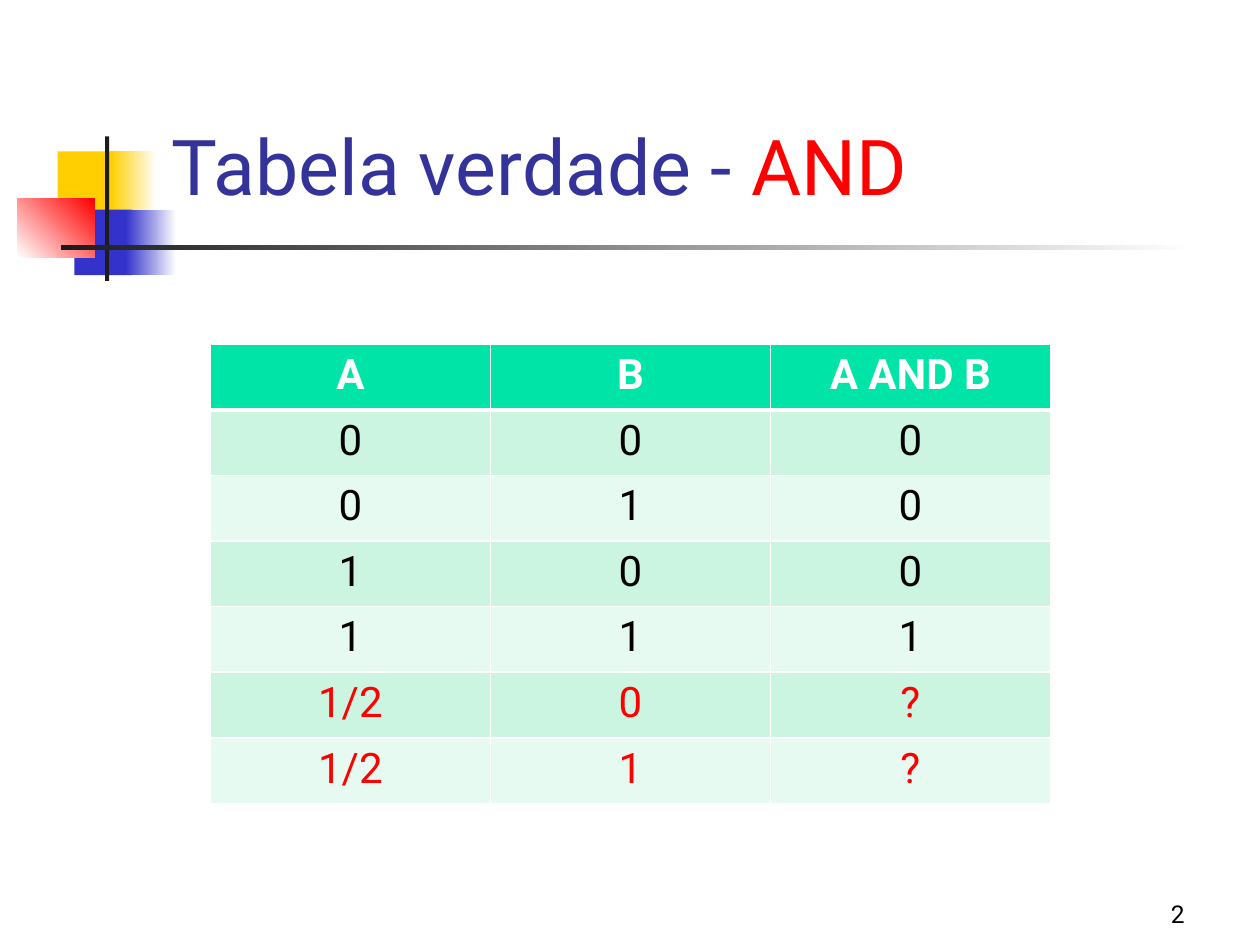
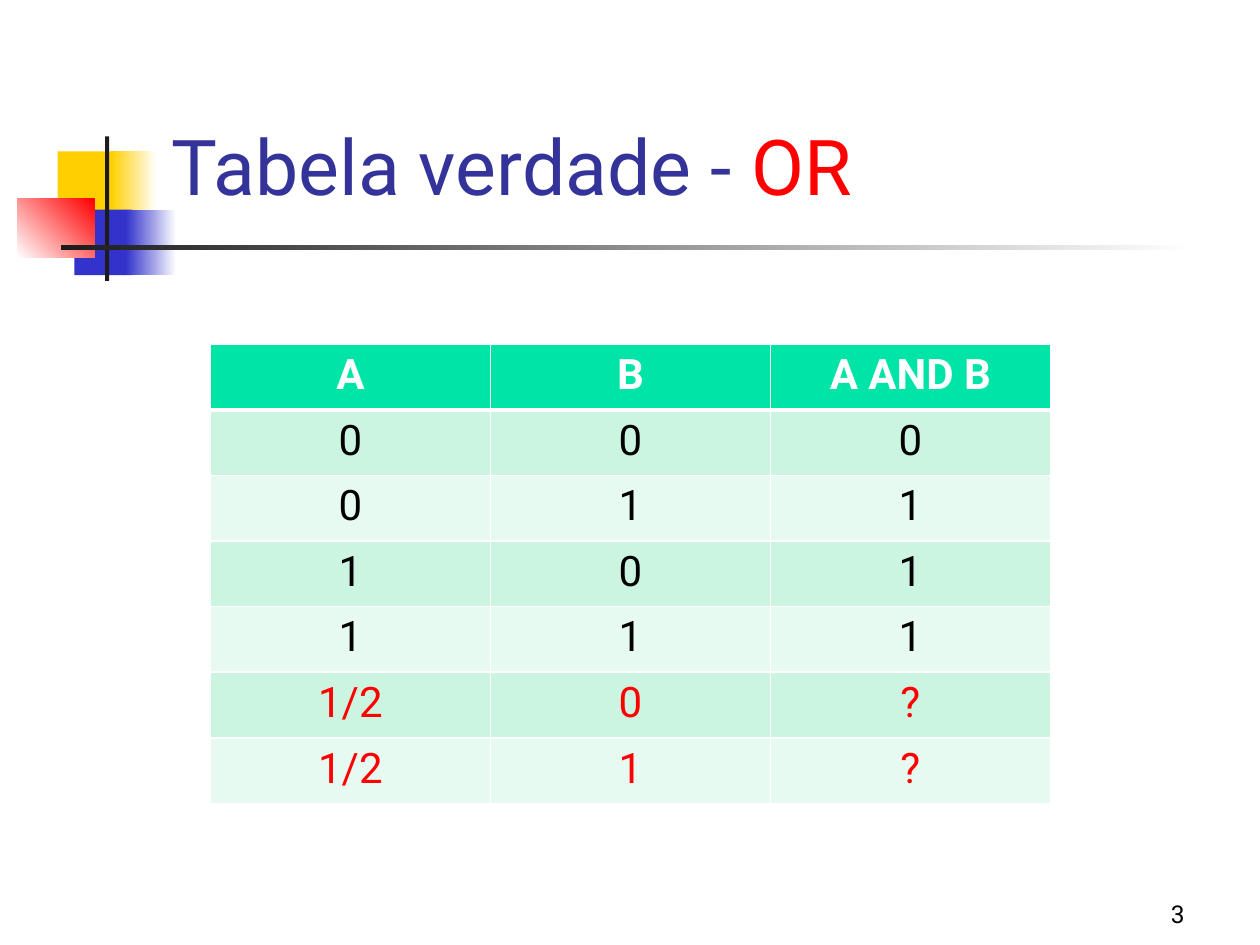
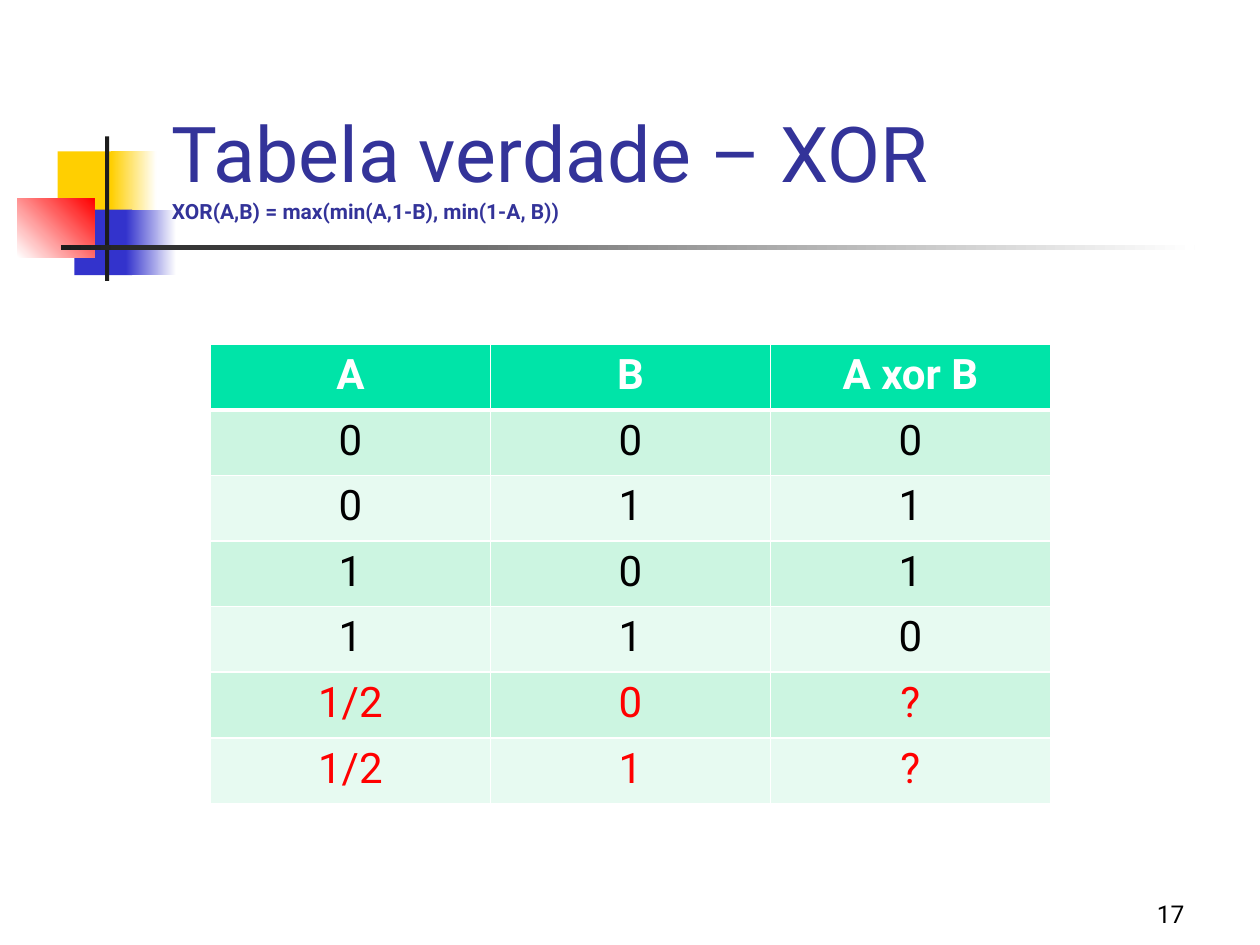
import pptx
import pptx.dml.color
import pptx.enum.shapes
import pptx.enum.text
import pptx.oxml
import pptx.oxml.ns
import pptx.util

Pt = pptx.util.Pt
ALIGN = pptx.enum.text.PP_ALIGN
ANCHOR = pptx.enum.text.MSO_ANCHOR
FONT = "Roboto"
TITLE_ONLY = 5
COLORS = {
    "white": "FFFFFF", "black": "000000", "red": "FF0000", "title": "333399",
    "yellow": "FFCF01", "blue": "3333CC", "dark": "1C1C1C",
    "header": "00E4A8", "band": "CCF5E1", "light_band": "E7FAF1",
}
EMBLEM = [
    ((33, 86.5, 34.5, 37.5), ["yellow"], 0),
    ((63.5, 86.5, 26, 37.5), ["yellow", "white"], 0),
    ((42.5, 119.75, 33, 37.5), ["blue"], 0),
    ((72, 119.75, 28.75, 37.5), ["blue", "white"], 0),
    ((10, 113.5, 44, 33.5), ["white", "red"], 45),
    ((60, 78, 2.4, 82.5), ["dark"], 0),
    ((34.75, 140.25, 648, 2.4), ["dark", "white"], 0),
]
INPUTS = [("0", "0"), ("0", "1"), ("1", "0"), ("1", "1"), ("1/2", "0"), ("1/2", "1")]


class Deck:
    """Hold the presentation, its shared style and the current slide."""

    def __init__(self):
        self.presentation = pptx.Presentation()
        self.presentation.slide_width = Pt(720)
        self.presentation.slide_height = Pt(540)
        self.slide = None

    def color(self, name):
        return pptx.dml.color.RGBColor.from_string(COLORS[name])

    def add_slide(self, number):
        layout = self.presentation.slide_layouts[TITLE_ONLY]
        self.slide = self.presentation.slides.add_slide(layout)
        for box, colors, angle in EMBLEM:
            self.rectangle(box, colors, angle)
        self.page_number(number)

    def rectangle(self, box, colors, angle):
        shape = self.slide.shapes.add_shape(
            pptx.enum.shapes.MSO_SHAPE.RECTANGLE, *map(Pt, box))
        shape.shadow.inherit = False
        shape.line.fill.background()
        if len(colors) == 1:
            shape.fill.solid()
            shape.fill.fore_color.rgb = self.color(colors[0])
        else:
            shape.fill.gradient()
            shape.fill.gradient_angle = angle
            for stop, name in zip(shape.fill.gradient_stops, colors):
                stop.color.rgb = self.color(name)

    def run(self, paragraph, text, size, color, bold=False):
        run = paragraph.add_run()
        run.text = text
        run.font.name = FONT
        run.font.size = Pt(size)
        run.font.bold = bold
        run.font.color.rgb = self.color(color)

    def page_number(self, number):
        shape = self.slide.shapes.add_textbox(Pt(534), Pt(498), Pt(150), Pt(36))
        frame = shape.text_frame
        frame.word_wrap = True
        frame.vertical_anchor = ANCHOR.BOTTOM
        paragraph = frame.paragraphs[0]
        paragraph.alignment = ALIGN.RIGHT
        self.run(paragraph, str(number), 14, "black")

    def title(self, text, operator="", formula=""):
        shape = self.slide.shapes.title
        shape.element.getparent().append(shape.element)
        shape.left, shape.top, shape.width, shape.height = map(Pt, (91, 49, 613, 90))
        frame = shape.text_frame
        frame.auto_size = pptx.enum.text.MSO_AUTO_SIZE.NONE
        frame.vertical_anchor = ANCHOR.MIDDLE
        paragraph = frame.paragraphs[0]
        paragraph.alignment = ALIGN.LEFT
        self.run(paragraph, text, 44, "title")
        if operator:
            self.run(paragraph, operator, 44, "red")
        if formula:
            paragraph.add_line_break()
            self.run(paragraph, formula, 12, "title", True)

    def borders(self, cell, widths):
        properties = cell._tc.get_or_add_tcPr()
        for side, width in widths.items():
            properties.append(pptx.oxml.parse_xml(
                f'<a:ln{side} {pptx.oxml.ns.nsdecls("a")} w="{Pt(width)}"><a:solidFill>'
                f'<a:srgbClr val="{COLORS["white"]}"/></a:solidFill></a:ln{side}>'))

    def truth_table(self, heading, results):
        rows = [("A", "B", heading)]
        rows += [(*pair, result) for pair, result in zip(INPUTS, results)]
        table = self.slide.shapes.add_table(
            len(rows), 3, Pt(120.25), Pt(196.75), Pt(480), Pt(37.5 * len(rows))).table
        for row_index, values in enumerate(rows):
            is_header = row_index == 0
            fill = "header" if is_header else "band" if row_index % 2 else "light_band"
            text_color = "white" if is_header else "red" if "1/2" in values else "black"
            widths = {"L": 1, "R": 1, "T": 3 if row_index == 1 else 1,
                      "B": 3 if is_header else 1}
            for column_index, value in enumerate(values):
                cell = table.cell(row_index, column_index)
                self.borders(cell, widths)
                cell.fill.solid()
                cell.fill.fore_color.rgb = self.color(fill)
                paragraph = cell.text_frame.paragraphs[0]
                paragraph.alignment = ALIGN.CENTER
                self.run(paragraph, value, 24, text_color, is_header)


def main():
    deck = Deck()
    deck.add_slide(2)
    deck.title("Tabela verdade - ", operator="AND")
    deck.truth_table("A AND B", "0001??")

    deck.add_slide(3)
    deck.title("Tabela verdade - ", operator="OR")
    deck.truth_table("A AND B", "0111??")

    deck.add_slide(17)
    deck.title("Tabela verdade – XOR", formula="XOR(A,B) = max(min(A,1-B), min(1-A, B))")
    deck.truth_table("A xor B", "0110??")

    deck.presentation.save("out.pptx")


if __name__ == "__main__":
    main()
